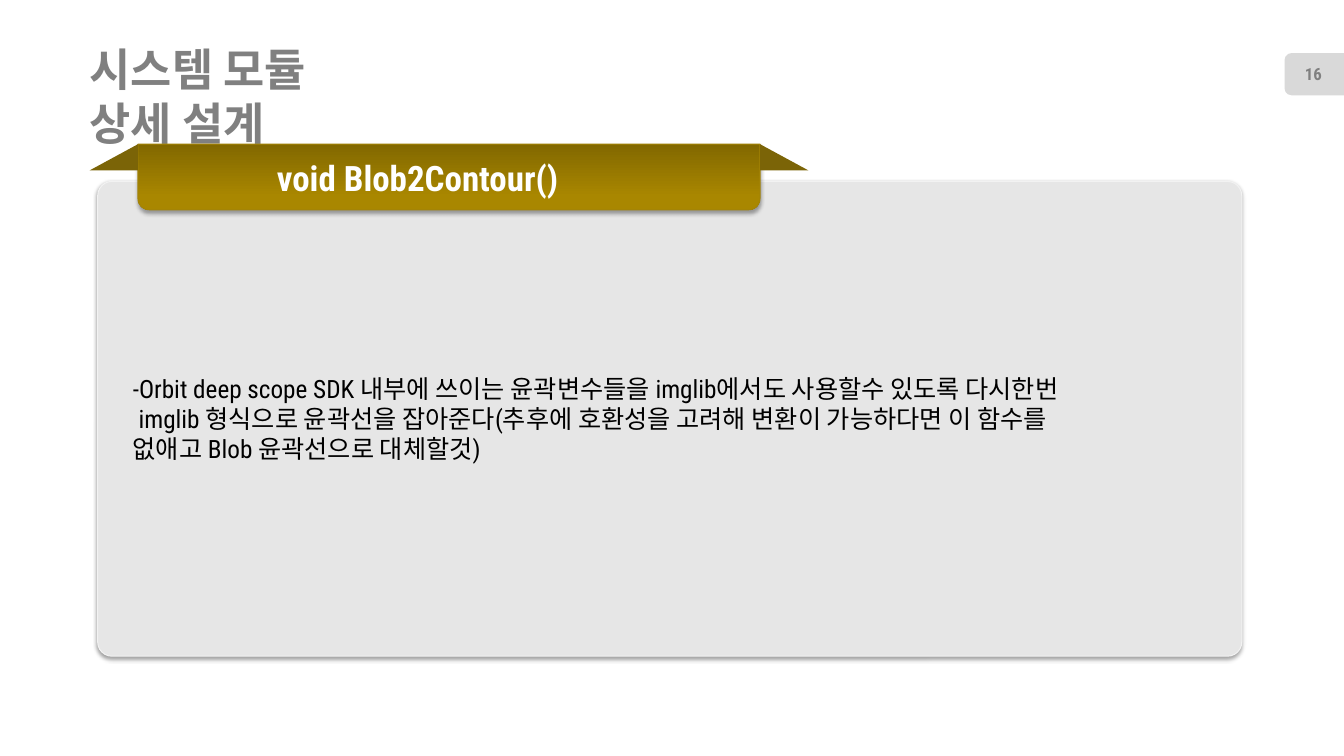
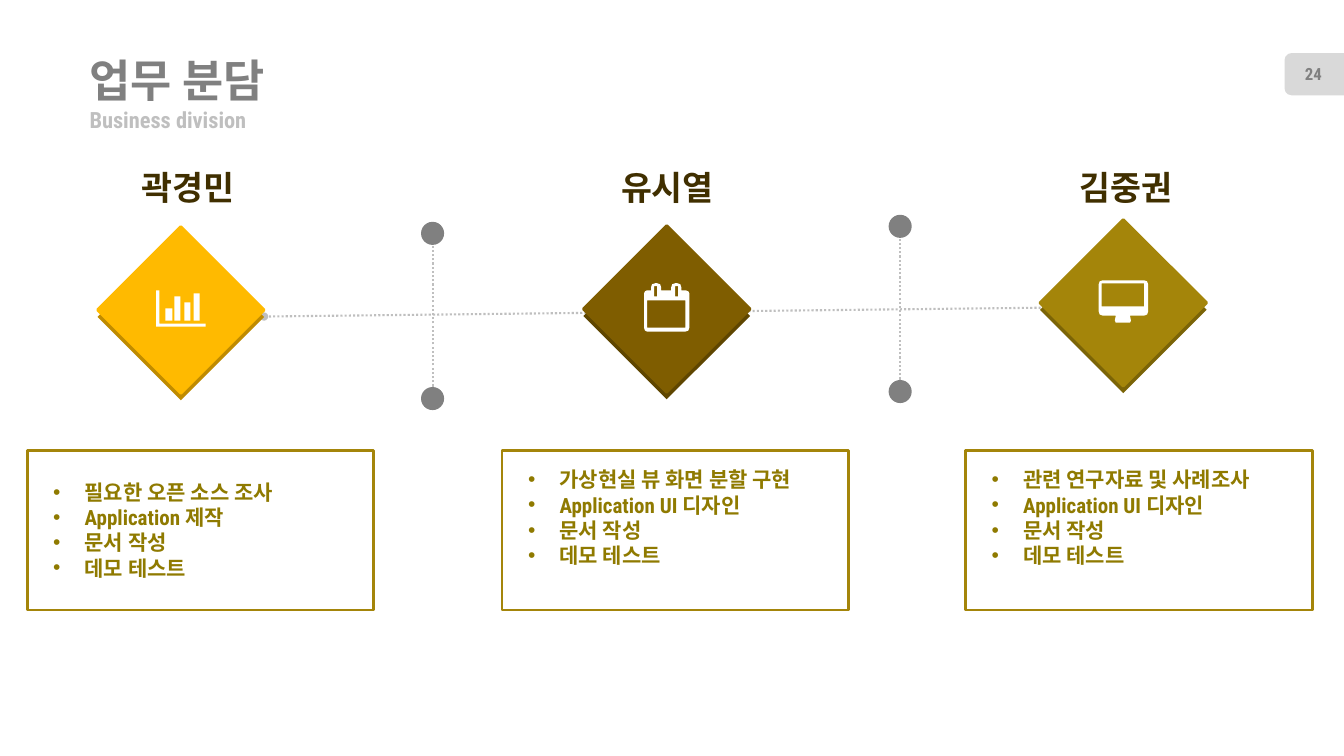
from lxml.etree import SubElement
from pptx import Presentation
from pptx.dml.color import RGBColor
from pptx.enum.dml import MSO_LINE
from pptx.enum.shapes import MSO_CONNECTOR, MSO_SHAPE
from pptx.enum.text import MSO_ANCHOR, MSO_AUTO_SIZE, PP_ALIGN
from pptx.oxml.ns import qn
from pptx.util import Pt

WHITE = RGBColor(0xFF, 0xFF, 0xFF)
BLACK = RGBColor(0x00, 0x00, 0x00)
GRAY = RGBColor(0x80, 0x80, 0x80)
LIGHT_GRAY = RGBColor(0xBF, 0xBF, 0xBF)
TAB_GRAY = RGBColor(0xD9, 0xD9, 0xD9)
PANEL_GRAY = RGBColor(0xE6, 0xE6, 0xE6)
PANEL_EDGE = RGBColor(0xF2, 0xF2, 0xF2)
RIBBON_DARK = RGBColor(0x82, 0x68, 0x00)
RIBBON_LIGHT = RGBColor(0xA9, 0x87, 0x00)
RIBBON_EDGE = RGBColor(0xA4, 0x84, 0x06)
OLIVE = RGBColor(0xA4, 0x85, 0x0A)
DARK_OLIVE = RGBColor(0x7B, 0x64, 0x07)
YELLOW = RGBColor(0xFF, 0xBA, 0x00)
DARK_YELLOW = RGBColor(0xBF, 0x8B, 0x00)
BROWN = RGBColor(0x7F, 0x5D, 0x00)
DARK_BROWN = RGBColor(0x5F, 0x46, 0x00)
NAME_BROWN = RGBColor(0x40, 0x2F, 0x00)
TASK_OLIVE = RGBColor(0x8F, 0x7A, 0x00)
TITLE_FONT = "Roboto"
TEXT_FONT = "Roboto Condensed"


def add_box(page, kind, bounds, fill=None, edge=None, edge_width=2):
    box = page.shapes.add_shape(kind, *map(Pt, bounds))
    box.shadow.inherit = False
    if fill is None:
        box.fill.background()
    else:
        box.fill.solid()
        box.fill.fore_color.rgb = fill
    if edge is None:
        box.line.fill.background()
    else:
        box.line.color.rgb = edge
        box.line.width = Pt(edge_width)
    return box


def write(box, bounds, text, size, color, bold=True, font=TEXT_FONT,
          align=PP_ALIGN.LEFT, anchor=MSO_ANCHOR.MIDDLE, inset=True):
    """Place a text box or placeholder, fill it and format all its runs."""
    box.left, box.top, box.width, box.height = map(Pt, bounds)
    frame = box.text_frame
    frame.text = text
    frame.word_wrap = True
    frame.auto_size = MSO_AUTO_SIZE.NONE
    frame.vertical_anchor = anchor
    if not inset:
        frame.margin_left = frame.margin_right = 0
        frame.margin_top = frame.margin_bottom = 0
    for para in frame.paragraphs:
        para.alignment = align
        for span in para.runs:
            span.font.size = Pt(size)
            span.font.bold = bold
            span.font.name = font
            span.font.color.rgb = color


deck = Presentation()
deck.slide_width, deck.slide_height = Pt(960), Pt(540)

# Shared frame: page tab, page number and title
TITLE_ONLY, TITLE_AND_TEXT = deck.slide_layouts[5], deck.slide_layouts[2]
pages = []
for layout, number, title, title_bounds in (
    (TITLE_ONLY, "16", "시스템 모듈 상세 설계", (64, 49.7, 201, 37.4)),
    (TITLE_AND_TEXT, "24", "업무 분담", (64, 38.2, 592, 37.4)),
):
    page = deck.slides.add_slide(layout)
    tab = add_box(page, MSO_SHAPE.ROUND_2_SAME_RECTANGLE,
                  (923.7, 31.7, 30.2, 42.5), TAB_GRAY)
    tab.rotation = 270
    write(page.shapes.add_textbox(0, 0, 0, 0), (918, 38.2, 40.3, 28.8),
          number, 12, GRAY, align=PP_ALIGN.CENTER)
    write(page.shapes.title, title_bounds, title, 32, GRAY,
          font=TITLE_FONT, inset=False)
    pages.append(page)
design_page, work_page = pages

# Module design: panel under a ribbon
panel = add_box(design_page, MSO_SHAPE.ROUNDED_RECTANGLE,
                (69.8, 129.6, 817.2, 339.1), PANEL_GRAY, PANEL_EDGE, 0.75)
panel.adjustments[0] = 0.03

RIBBON_LEFT, RIBBON_TOP, RIBBON_WIDTH, FOLD_WIDTH = 98.6, 103, 444.3, 34.5
ribbon = add_box(design_page, MSO_SHAPE.ROUND_2_SAME_RECTANGLE,
                 (RIBBON_LEFT, RIBBON_TOP, RIBBON_WIDTH, 46.8),
                 RIBBON_LIGHT, RIBBON_EDGE, 0.75)
ribbon.adjustments[0], ribbon.adjustments[1] = 0, 0.17
ribbon.fill.gradient()
ribbon.fill.gradient_angle = 270
for stop, color, position in zip(ribbon.fill.gradient_stops,
                                 (RIBBON_DARK, RIBBON_LIGHT), (0, 0.8)):
    stop.color.rgb = color
    stop.position = position

for box, distance, opacity in ((panel, 1.6, 38), (ribbon, 1.8, 35)):
    effects = box.element.spPr.find(qn("a:effectLst"))
    shadow = SubElement(effects, qn("a:outerShdw"), blurRad=str(Pt(3.1)),
                        dist=str(Pt(distance)), dir="5400000",
                        algn="t", rotWithShape="0")
    tone = SubElement(shadow, qn("a:srgbClr"), val=str(BLACK))
    SubElement(tone, qn("a:alpha"), val=str(opacity * 1000))

for fold_left, flip in ((RIBBON_LEFT - FOLD_WIDTH, "1"),
                        (RIBBON_LEFT + RIBBON_WIDTH, "0")):
    fold = add_box(design_page, MSO_SHAPE.RIGHT_TRIANGLE,
                   (fold_left, RIBBON_TOP, FOLD_WIDTH, 18.7), DARK_OLIVE)
    fold.element.spPr.find(qn("a:xfrm")).set("flipH", flip)

write(design_page.shapes.add_textbox(0, 0, 0, 0), (175.5, 112, 245.5, 30),
      "void Blob2Contour()", 25, WHITE, align=PP_ALIGN.CENTER, inset=False)
write(design_page.shapes.add_textbox(0, 0, 0, 0), (87.8, 262.8, 768.2, 72.7),
      "-Orbit deep scope SDK 내부에 쓰이는 윤곽변수들을 imglib에서도 사용할수 있도록 다시한번\n"
      " imglib 형식으로 윤곽선을 잡아준다(추후에 호환성을 고려해 변환이 가능하다면 이 함수를\n"
      "없애고 Blob 윤곽선으로 대체할것)",
      18, BLACK, bold=False, anchor=MSO_ANCHOR.TOP)

# Division of work: dotted lines with posts between the members
write(work_page.placeholders[1], (64, 75, 432, 21), "Business division", 16,
      LIGHT_GRAY, inset=False)

DOT_SIZE, POST_HEIGHT = 16.5, 118
posts = ((309, 166.7), (643, 161.7))
dotted_lines = [(761, 219.6, 188.6, 226.1)]
dotted_lines += [(x, top + POST_HEIGHT, x, top) for x, top in posts]
for ends in dotted_lines:
    dotted = work_page.shapes.add_connector(MSO_CONNECTOR.STRAIGHT,
                                            *map(Pt, ends))
    dotted.line.color.rgb = LIGHT_GRAY
    dotted.line.width = Pt(1.5)
    dotted.line.dash_style = MSO_LINE.ROUND_DOT
    outline = dotted.line._get_or_add_ln()
    for tag in ("a:headEnd", "a:tailEnd"):
        SubElement(outline, qn(tag), type="oval")
    SubElement(dotted.element.spPr, qn("a:effectLst"))
for x, top in posts:
    for y in (top, top + POST_HEIGHT):
        add_box(work_page, MSO_SHAPE.OVAL,
                (x - DOT_SIZE / 2, y - DOT_SIZE / 2, DOT_SIZE, DOT_SIZE), GRAY)

# Icons: an outline, then rectangles as left, top, right, bottom
ICON_UNIT = Pt(0.72)
CHART_ICON = (
    [(0, 0), (3, 0), (3, 33), (49, 33), (49, 36), (0, 36)],
    [(9, 18, 16, 30), (18, 6, 24, 30), (28, 12, 34, 30), (37, 3, 43, 30)],
)
CALENDAR_ICON = (
    [(3, 7), (7, 7), (7, 4), (8, 1), (11, 0), (13, 0), (16, 1), (17, 4),
     (17, 7), (27, 7), (27, 4), (28, 1), (31, 0), (33, 0), (36, 1), (37, 4),
     (37, 7), (41, 7), (44, 8), (45, 10), (45, 44), (44, 47), (41, 48),
     (3, 48), (1, 47), (0, 44), (0, 10), (1, 8)],
    [(3, 17, 41, 44), (10, 3, 13, 13), (31, 3, 34, 13)],
)
MONITOR_ICON = (
    [(4, 0), (45, 0), (48, 1), (49, 4), (49, 31), (48, 34), (45, 35),
     (31, 35), (32, 40), (31, 42), (17, 42), (16, 40), (17, 35), (4, 35),
     (1, 34), (0, 31), (0, 4), (1, 1)],
    [(3, 3, 45, 26)],
)

SQUARE = 84.2
CARD_TOP, CARD_WIDTH, CARD_HEIGHT = 322, 247.7, 113.8
BULLET_INDENT = Pt(22.5)
members = (
    ("곽경민", 49.7, (87.1, 179.3), YELLOW, DARK_YELLOW,
     CHART_ICON, (111.6, 207.4), 19.4, 339,
     ("필요한 오픈 소스 조사", "Application 제작", "문서 작성", "데모 테스트")),
    ("유시열", 392.4, (434.2, 178.6), BROWN, DARK_BROWN,
     CALENDAR_ICON, (460, 202.3), 358.6, 330,
     ("가상현실 뷰 화면 분할 구현", "Application UI 디자인", "문서 작성", "데모 테스트")),
    ("김중권", 720, (760.3, 174.2), OLIVE, DARK_OLIVE,
     MONITOR_ICON, (784.8, 200.2), 689.8, 330,
     ("관련 연구자료 및 사례조사", "Application UI 디자인", "문서 작성", "데모 테스트")),
)
for (name, name_left, (left, top), color, shade, (outline, rectangles),
     icon_origin, card_left, tasks_top, tasks) in members:
    write(work_page.shapes.add_textbox(0, 0, 0, 0),
          (name_left, 116, 124.6, 36), name, 24, NAME_BROWN,
          align=PP_ALIGN.RIGHT, anchor=MSO_ANCHOR.TOP)

    for drop, fill, edge in ((5, shade, None), (0, color, color)):
        diamond = add_box(work_page, MSO_SHAPE.RECTANGLE,
                          (left, top + drop, SQUARE, SQUARE), fill, edge)
        diamond.rotation = 315

    builder = work_page.shapes.build_freeform(*outline[0], scale=ICON_UNIT)
    builder.add_line_segments(outline[1:], close=True)
    for x1, y1, x2, y2 in rectangles:
        builder.move_to(x1, y1)
        builder.add_line_segments([(x2, y1), (x2, y2), (x1, y2)], close=True)
    icon = builder.convert_to_shape(*map(Pt, icon_origin))
    icon.shadow.inherit = False
    icon.fill.solid()
    icon.fill.fore_color.rgb = WHITE
    icon.line.fill.background()

    add_box(work_page, MSO_SHAPE.RECTANGLE,
            (card_left, CARD_TOP, CARD_WIDTH, CARD_HEIGHT), edge=OLIVE)
    task_box = work_page.shapes.add_textbox(0, 0, 0, 0)
    write(task_box, (card_left + 11.5, tasks_top, CARD_WIDTH - 11.5, 80),
          "\n".join(tasks), 15, TASK_OLIVE, anchor=MSO_ANCHOR.TOP)
    for para in task_box.text_frame.paragraphs:
        settings = para._p.get_or_add_pPr()
        settings.set("marL", str(BULLET_INDENT))
        settings.set("indent", str(-BULLET_INDENT))
        SubElement(settings, qn("a:buFont"), typeface="Arial")
        SubElement(settings, qn("a:buChar"), char="•")

deck.save("out.pptx")
